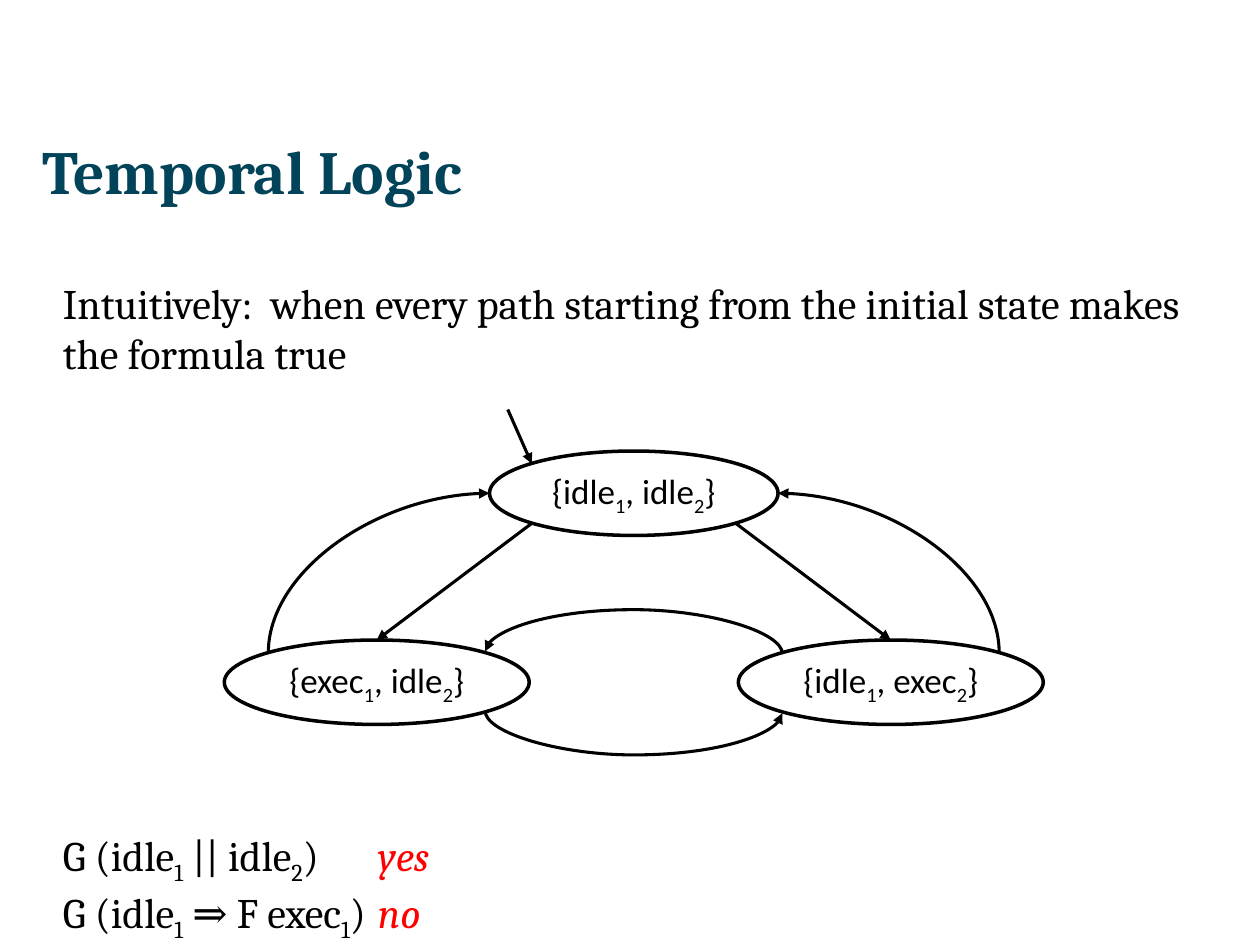
from lxml import etree
from pptx import Presentation
from pptx.dml.color import RGBColor
from pptx.enum import shapes, text
from pptx.oxml import ns
from pptx.util import Inches, Pt

BLACK, RED, TEAL = "000000", "FF0000", "014359"


def color(value):
    return RGBColor.from_string(value)


def add_span(para, content, size, font, fill=BLACK, bold=False, italic=False):
    span = para.add_run()
    span.text = content
    span.font.size, span.font.name = Pt(size), font
    span.font.bold, span.font.italic = bold, italic
    span.font.color.rgb = color(fill)
    return span


def add_formula(para, formula, size, font):
    head, *rest = formula.split("_")
    add_span(para, head, size, font)
    for part in rest:
        index = add_span(para, part[0], size, font)
        index.font._element.set("baseline", "-25000")
        add_span(para, part[1:], size, font)


def add_box(page, left, top, width, height):
    box = page.shapes.add_textbox(*map(Inches, (left, top, width, height)))
    frame = box.text_frame
    frame.word_wrap = True
    frame.margin_left = frame.margin_right = frame.margin_top = frame.margin_bottom = 0
    return frame


def add_title(page, *area):
    frame = add_box(page, *area)
    add_span(frame.paragraphs[0], "Temporal Logic", 35, "Cambria", TEAL, bold=True)


def add_intro(page, *area):
    frame = add_box(page, *area)
    sentence = "Intuitively:  when every path starting from the initial state makes the formula true"
    add_span(frame.paragraphs[0], sentence, 24, "Cambria")


def add_verdicts(page, *area):
    frame = add_box(page, *area)
    verdicts = [("G (idle_1 || idle_2)\t", "yes"), ("G (idle_1 ⇒ F exec_1)\t", "no")]
    for number, (formula, verdict) in enumerate(verdicts):
        para = frame.add_paragraph() if number else frame.paragraphs[0]
        add_formula(para, formula, 24, "Cambria")
        add_span(para, verdict, 24, "Cambria", RED, italic=True)


def add_state(page, label, left, top, width, height):
    state = page.shapes.add_shape(
        shapes.MSO_SHAPE.OVAL, *map(Inches, (left, top, width, height)))
    state.shadow.inherit = False
    state.fill.background()
    state.line.color.rgb = color(BLACK)
    state.line.width = Pt(2)
    frame = state.text_frame
    frame.word_wrap = False
    frame.vertical_anchor = text.MSO_ANCHOR.MIDDLE
    para = frame.paragraphs[0]
    para.alignment = text.PP_ALIGN.CENTER
    add_formula(para, label, 20, "Calibri")


def add_arrow(page, start, end, kind=shapes.MSO_CONNECTOR.STRAIGHT):
    arrow = page.shapes.add_connector(kind, *map(Inches, (*start, *end)))
    arrow.line.color.rgb = color(BLACK)
    arrow.line.width = Pt(1.75)
    etree.SubElement(arrow.line._get_or_add_ln(), ns.qn("a:tailEnd"), type="triangle")
    etree.SubElement(arrow._element.spPr, ns.qn("a:effectLst"))
    return arrow


def add_curve(page, start, end, turn, flips, bulge=None):
    arrow = add_arrow(page, start, end, shapes.MSO_CONNECTOR.CURVE)
    across, down = abs(end[0] - start[0]), abs(end[1] - start[1])
    arrow.left = Inches((start[0] + end[0] - down) / 2)
    arrow.top = Inches((start[1] + end[1] - across) / 2)
    arrow.width, arrow.height = Inches(down), Inches(across)
    frame = arrow._element.spPr.find(ns.qn("a:xfrm"))
    frame.set("rot", str(turn * 60000))
    for axis in "HV":
        frame.set("flip" + axis, str(int(axis in flips)))
    geometry = arrow._element.spPr.find(ns.qn("a:prstGeom"))
    if bulge is None:
        geometry.set("prst", "curvedConnector2")
    else:
        guides = geometry.find(ns.qn("a:avLst"))
        if guides is None:
            guides = etree.SubElement(geometry, ns.qn("a:avLst"))
        ratio = round(bulge / down * 100000)
        etree.SubElement(guides, ns.qn("a:gd"), name="adj1", fmla=f"val {ratio}")


def add_state_diagram(page, left, top, width, height):
    oval_width, oval_height, top_width = 2.42, 0.67, 2.29
    right, center = left + width, left + width / 2
    upper, lower = top + 0.33, top + height - oval_height
    inset, rim = 0.35, 0.1

    add_state(page, "{idle_1, idle_2}", center - top_width / 2, upper, top_width, oval_height)
    add_state(page, "{exec_1, idle_2}", left, lower, oval_width, oval_height)
    add_state(page, "{idle_1, exec_2}", right - oval_width, lower, oval_width, oval_height)

    for side, turn, flips in ((-1, 90, "HV"), (1, 270, "V")):
        outer = center + side * width / 2
        corner = center + side * (top_width / 2 - 0.34)
        add_arrow(page, (corner, upper + oval_height - rim),
                  (outer - side * oval_width / 2, lower))
        add_curve(page, (outer - side * inset, lower + rim),
                  (center + side * top_width / 2, upper + oval_height / 2), turn, flips)

    inner_left, inner_right = left + oval_width - inset, right - oval_width + inset
    bottom = lower + oval_height - rim
    add_curve(page, (inner_left, bottom - 0.01), (inner_right, bottom + 0.01), 270, "H", 0.35)
    add_curve(page, (inner_right, lower + rim + 0.01),
              (inner_left, lower + rim - 0.01), 270, "V", 0.35)
    add_arrow(page, (4.03, top), (4.22, upper + rim))


def main():
    deck = Presentation()
    deck.slide_width, deck.slide_height = Inches(10), Inches(7.5)
    page = deck.slides.add_slide(deck.slide_layouts[6])
    add_title(page, 0.34, 1.06, 9.32, 0.59)
    add_intro(page, 0.5, 2.2, 9, 5.28)
    add_verdicts(page, 0.5, 6.58, 9, 1.21)
    add_state_diagram(page, 1.78, 3.25, 6.5, 2.5)
    deck.save("out.pptx")


if __name__ == "__main__":
    main()
